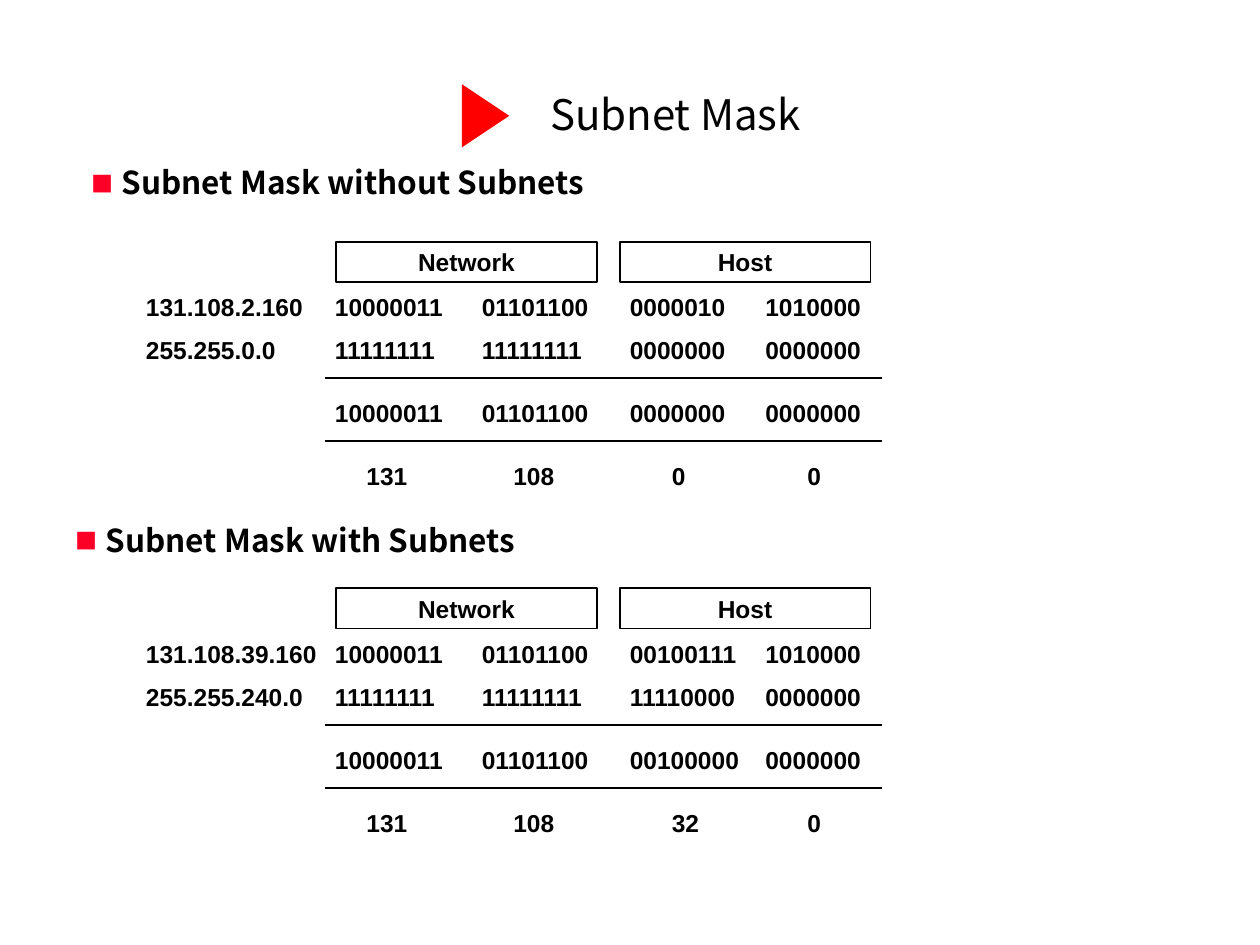
from dataclasses import dataclass

from lxml import etree
from pptx import Presentation
from pptx.dml.color import RGBColor
from pptx.enum import shapes, text
from pptx.oxml import ns
from pptx.util import Pt


@dataclass(frozen=True)
class Theme:
    """Colours, fonts and type sizes of the deck."""
    ink: str = "000000"
    marker: str = "FF0000"
    bullet: str = "FC0128"
    shadow: str = "808080"
    display: str = "Noto Sans CJK KR"
    body: str = "Arial"
    title_size: int = 24
    heading_size: int = 18
    cell_size: int = 14


THEME = Theme()
LEFT, CENTER = text.PP_ALIGN.LEFT, text.PP_ALIGN.CENTER
TOP, MIDDLE = text.MSO_ANCHOR.TOP, text.MSO_ANCHOR.MIDDLE
COLUMNS = (108, 192, 276.5, 354)
TOTAL_INDENTS = (18, 18, 24, 24)
ROWS = (25.2, 49.7, 85.7, 121.7)
RULES = (78, 114)
HEADERS = (("Network", 115.8, 149), ("Host", 277.8, 143.3))


def add_xml(parent, tag, **attributes):
    """Append a drawing element and return it."""
    return etree.SubElement(parent, ns.qn(tag), attributes)


def write(shape, words, size=THEME.cell_size, font=THEME.body, bold=True,
          align=LEFT, anchor=TOP, insets=(7.2, 3.6)):
    """Set formatted words in a shape and return the paragraph and span."""
    frame = shape.text_frame
    frame.word_wrap = True
    frame.auto_size = text.MSO_AUTO_SIZE.NONE
    frame.vertical_anchor = anchor
    frame.margin_left = frame.margin_right = Pt(insets[0])
    frame.margin_top = frame.margin_bottom = Pt(insets[1])
    para = frame.paragraphs[0]
    para.alignment = align
    span = para.add_run()
    span.text = words
    span.font.size, span.font.name, span.font.bold = Pt(size), font, bold
    span.font.color.rgb = RGBColor.from_string(THEME.ink)
    for tag in ("a:ea", "a:cs"):
        add_xml(span.font._element, tag, typeface=font)
    return para, span


def add_label(page, words, box, **style):
    """Add a text box at the given box in points."""
    return write(page.shapes.add_textbox(*map(Pt, box)), words, **style)


def add_title(page, words, box):
    """Place the shadowed title and the red pointer before it."""
    title = page.shapes.title
    title.left, title.top, title.width, title.height = map(Pt, box)
    _, span = write(title, words, size=THEME.title_size, font=THEME.display,
                    bold=False, align=CENTER, anchor=MIDDLE)
    effects = etree.Element(ns.qn("a:effectLst"))
    shadow = add_xml(effects, "a:outerShdw", dist="17961", dir="2700000")
    add_xml(shadow, "a:srgbClr", val=THEME.shadow)
    span.font._element.find(ns.qn("a:solidFill")).addnext(effects)

    left, top = box[0] + 212, box[1] + 1.2
    outline = page.shapes.build_freeform(Pt(left), Pt(top))
    outline.add_line_segments([(Pt(left), Pt(top + 36)), (Pt(left + 27), Pt(top + 18))])
    pointer = outline.convert_to_shape()
    pointer.shadow.inherit = False
    pointer.fill.solid()
    pointer.fill.fore_color.rgb = RGBColor.from_string(THEME.marker)
    pointer.line.fill.background()


def add_heading(page, words, box):
    """Add a section heading with a square bullet."""
    para, _ = add_label(page, words, box, size=THEME.heading_size,
                        font=THEME.display, insets=(0, 0))
    para.line_spacing = 0.9
    properties = para._p.get_or_add_pPr()
    indent = Pt(17)
    properties.set("marL", str(indent))
    properties.set("indent", str(-indent))
    add_xml(add_xml(properties, "a:buClr"), "a:srgbClr", val=THEME.bullet)
    add_xml(properties, "a:buSzPct", val="70000")
    add_xml(properties, "a:buFont", typeface=THEME.display)
    add_xml(properties, "a:buChar", char="■")


def add_header(page, words, box):
    """Add an outlined column header."""
    header = page.shapes.add_shape(shapes.MSO_SHAPE.RECTANGLE, *map(Pt, box))
    header.shadow.inherit = False
    header.fill.background()
    header.line.color.rgb = RGBColor.from_string(THEME.ink)
    header.line.width = Pt(1)
    write(header, words, align=CENTER, anchor=MIDDLE)


def add_rule(page, left, top, width):
    """Add a horizontal rule."""
    rule = page.shapes.add_connector(shapes.MSO_CONNECTOR.STRAIGHT,
                                     Pt(left), Pt(top), Pt(left + width), Pt(top))
    rule.line.color.rgb = RGBColor.from_string(THEME.ink)
    rule.line.width = Pt(1)
    add_xml(rule._element.spPr, "a:effectLst")


def add_calculation(page, box, addresses, rows, totals):
    """Lay out one mask calculation in its box."""
    left, top, width, _ = box
    for words, offset, span_width in HEADERS:
        add_header(page, words, (left + offset, top, span_width, 23))
    for address, offset in zip(addresses, ROWS):
        add_label(page, address, (left, top + offset, 114, 24))
    for octets, offset in zip(rows, ROWS):
        for octet, column in zip(octets.split(), COLUMNS):
            add_label(page, octet, (left + column, top + offset, 78, 24))
    for total, column, indent in zip(totals.split(), COLUMNS, TOTAL_INDENTS):
        add_label(page, total, (left + column + indent, top + ROWS[-1], 42, 24))
    rule_start = 109.5
    for offset in RULES:
        add_rule(page, left + rule_start, top + offset, width - rule_start)


def main():
    """Build and save the deck."""
    deck = Presentation()
    deck.slide_width, deck.slide_height = Pt(720), Pt(540)
    page = deck.slides.add_slide(deck.slide_layouts[5])
    add_title(page, "Subnet Mask", (52, 47, 668, 36))
    add_calculation(
        page, (76.3, 138.2, 427.7, 146), ("131.108.2.160", "255.255.0.0"),
        ("10000011 01101100 0000010 1010000",
         "11111111 11111111 0000000 0000000",
         "10000011 01101100 0000000 0000000"), "131 108 0 0")
    add_calculation(
        page, (76.3, 336.2, 427.7, 146), ("131.108.39.160", "255.255.240.0"),
        ("10000011 01101100 00100111 1010000",
         "11111111 11111111 11110000 0000000",
         "10000011 01101100 00100000 0000000"), "131 108 32 0")
    add_heading(page, "Subnet Mask without Subnets", (52.5, 95.8, 301, 22))
    add_heading(page, "Subnet Mask with Subnets", (43.4, 300, 269, 22))
    deck.save("out.pptx")


if __name__ == "__main__":
    main()
